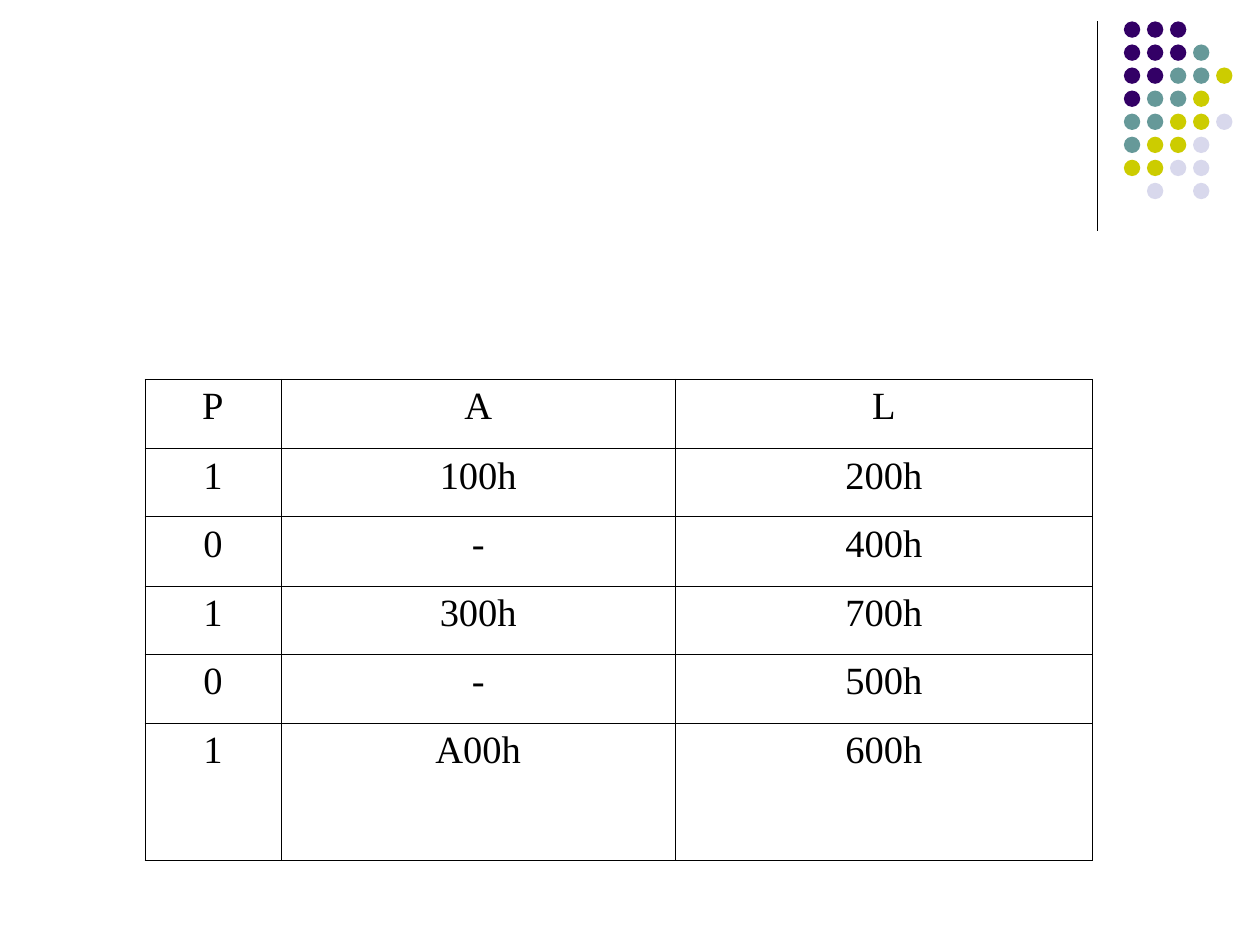
"""Build a slide with a page table and a dotted corner ornament."""
import lxml.etree
import pptx
import pptx.dml.color
import pptx.enum.shapes
import pptx.enum.text
import pptx.oxml.ns
import pptx.util

Inches = pptx.util.Inches
Pt = pptx.util.Pt
RGBColor = pptx.dml.color.RGBColor
qn = pptx.oxml.ns.qn

BLACK = RGBColor(0x00, 0x00, 0x00)
PURPLE = RGBColor(0x33, 0x00, 0x66)
TEAL = RGBColor(0x66, 0x99, 0x99)
OLIVE = RGBColor(0xCC, 0xCC, 0x00)
LAVENDER = RGBColor(0xD8, 0xD8, 0xEC)

DOT_COLORS = {"P": PURPLE, "T": TEAL, "O": OLIVE, "L": LAVENDER}
DOT_ROWS = ["PPP", "PPPT", "PPTTO", "PTTO", "TTOOL", "TOOL", "OOLL", " L L"]
DOT_PITCH = 0.183

PAGE_ROWS = [
    ["P", "A", "L"],
    ["1", "100h", "200h"],
    ["0", "-", "400h"],
    ["1", "300h", "700h"],
    ["0", "-", "500h"],
    ["1", "A00h", "600h"],
]
COLUMN_WIDTHS = [1.08, 3.13, 3.31]
ROW_HEIGHTS = [0.55, 0.54, 0.55, 0.54, 0.55, 1.09]


class SlideBuilder:
    """Hold the text style and the current slide."""

    def __init__(self, slide, font_name, font_size):
        self.slide = slide
        self.font_name = font_name
        self.font_size = font_size

    def line(self, left, top, right, bottom):
        connector = self.slide.shapes.add_connector(
            pptx.enum.shapes.MSO_CONNECTOR.STRAIGHT,
            Inches(left), Inches(top), Inches(right), Inches(bottom))
        connector.line.color.rgb = BLACK
        connector.line.width = Pt(0.75)
        properties = connector._element.spPr
        lxml.etree.SubElement(properties, qn("a:effectLst"))

    def dots(self, left, top):
        group = self.slide.shapes.add_group_shape()
        for row, letters in enumerate(DOT_ROWS):
            for column, letter in enumerate(letters):
                if letter in DOT_COLORS:
                    dot = group.shapes.add_shape(
                        pptx.enum.shapes.MSO_SHAPE.OVAL,
                        Inches(left + column * DOT_PITCH),
                        Inches(top + row * DOT_PITCH),
                        Inches(0.13), Inches(0.13))
                    dot.shadow.inherit = False
                    dot.fill.solid()
                    dot.fill.fore_color.rgb = DOT_COLORS[letter]
                    dot.line.fill.background()

    def table(self, left, top, rows, widths, heights):
        frame = self.slide.shapes.add_table(
            len(rows), len(widths), Inches(left), Inches(top),
            Inches(sum(widths)), Inches(sum(heights)))
        table = frame.table
        table.first_row = False
        table.horz_banding = False
        for column, width in zip(table.columns, widths):
            column.width = Inches(width)
        for row, height, texts in zip(table.rows, heights, rows):
            row.height = Inches(height)
            for cell, text in zip(row.cells, texts):
                self.cell(cell, text)

    def cell(self, cell, text):
        cell.margin_left = cell.margin_right = Inches(0.07)
        cell.margin_top = cell.margin_bottom = Inches(0.05)
        self.borders(cell)
        cell.fill.background()
        paragraph = cell.text_frame.paragraphs[0]
        paragraph.alignment = pptx.enum.text.PP_ALIGN.CENTER
        paragraph.space_before = Pt(3)
        run = paragraph.add_run()
        run.text = text
        run.font.name = self.font_name
        run.font.size = Pt(self.font_size)
        run.font.bold = False
        run.font.color.rgb = BLACK

    def borders(self, cell):
        properties = cell._tc.get_or_add_tcPr()
        for side in ("a:lnL", "a:lnR", "a:lnT", "a:lnB"):
            border = lxml.etree.SubElement(properties, qn(side), w=str(Pt(0.45)))
            fill = lxml.etree.SubElement(border, qn("a:solidFill"))
            lxml.etree.SubElement(fill, qn("a:srgbClr"), val=str(BLACK))


def main():
    presentation = pptx.Presentation()
    presentation.slide_width = Inches(10)
    presentation.slide_height = Inches(7.5)
    slide = presentation.slides.add_slide(presentation.slide_layouts[6])
    builder = SlideBuilder(slide, "Times New Roman", 22)
    builder.line(8.71, 0.17, 8.71, 1.83)
    builder.dots(8.92, 0.17)
    builder.table(1.15, 3.01, PAGE_ROWS, COLUMN_WIDTHS, ROW_HEIGHTS)
    presentation.save("out.pptx")


if __name__ == "__main__":
    main()
